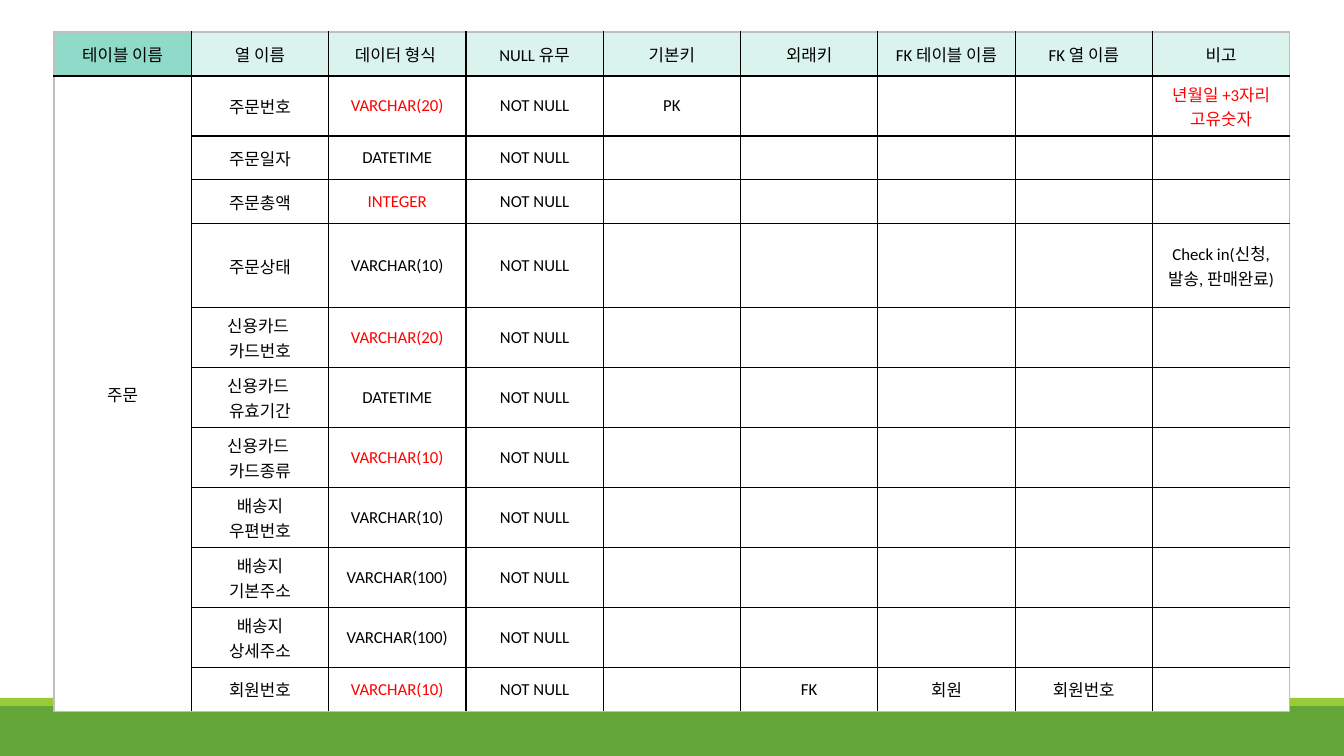
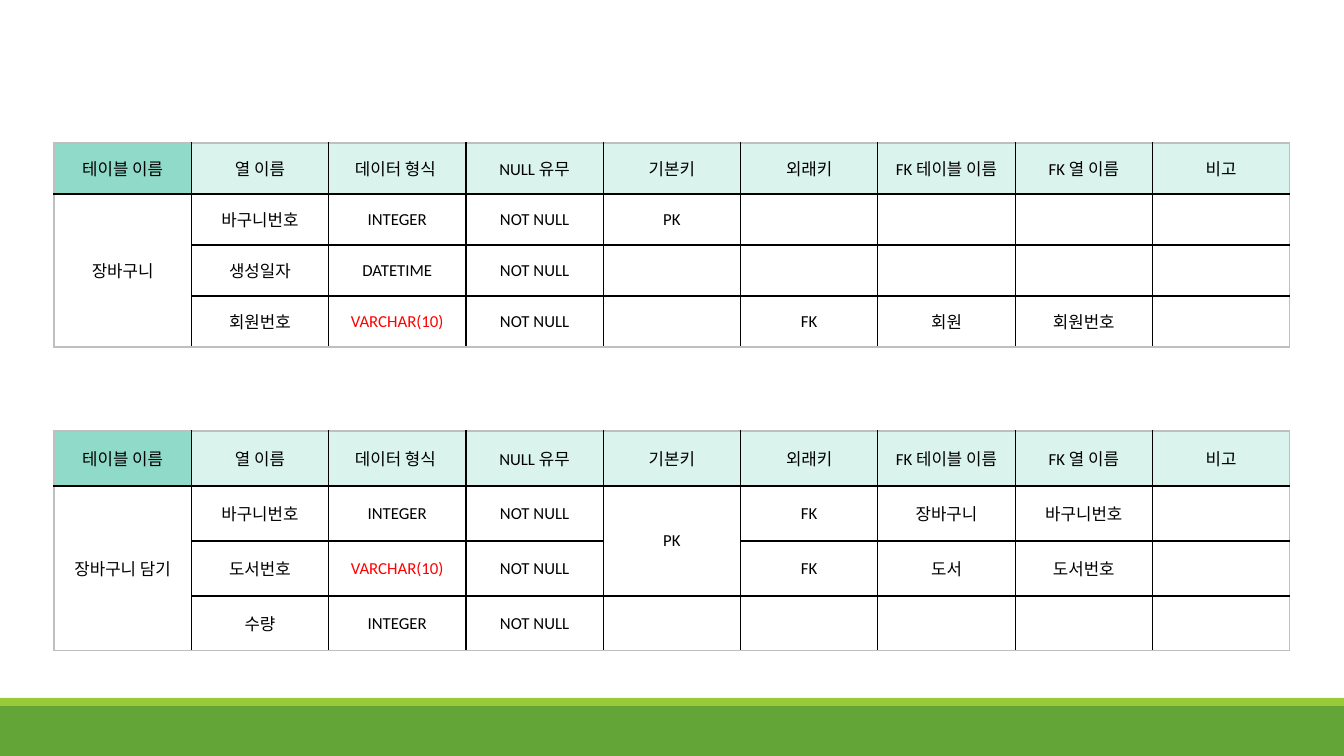
from dataclasses import dataclass

from lxml.etree import SubElement
from pptx import Presentation
from pptx.dml.color import RGBColor as Rgb
from pptx.enum.shapes import MSO_SHAPE as Shape
from pptx.enum.text import MSO_ANCHOR as Anchor, PP_ALIGN as Align
from pptx.oxml.ns import qn
from pptx.util import Pt

EMU_PER_PX = 914400 / 100.8
SLIDE_W, SLIDE_H = 1344, 756
TABLE_LEFT, TABLE_W = 54, 1236
ROW_BY_LINES = {1: 44, 2: 60, 3: 84}


@dataclass(frozen=True)
class Theme:
    green: str = "63A537"
    lime: str = "99CB38"
    corner: str = "8FDAC8"
    header: str = "DAF3ED"
    body: str = "FFFFFF"
    text: str = "000000"
    revised: str = "FF0000"
    grid: str = "000000"
    frame: str = "BFBFBF"
    font: str = "Calibri"
    size: int = 12
    line: int = 1


class Revised(str):
    """Text shown in the revision colour."""


@dataclass(frozen=True)
class Column:
    """One described database column, a row of the slide's table."""
    name: str
    data_type: str
    primary: str = ""
    foreign: str = ""
    fk_table: str = ""
    fk_column: str = ""
    note: str = ""
    lines: int = 1

    def cells(self):
        return ["", self.name, self.data_type, "NOT NULL", self.primary,
                self.foreign, self.fk_table, self.fk_column, self.note]


HEADINGS = ["테이블 이름", "열 이름", "데이터 형식 ", "NULL 유무", "기본키",
            "외래키", "FK 테이블 이름", "FK 열 이름", "비고"]
PRIMARY_COL = HEADINGS.index("기본키")


def px(length):
    return round(length * EMU_PER_PX)


class Deck:
    def __init__(self, theme):
        self.theme = theme
        self.prs = Presentation()
        self.prs.slide_width, self.prs.slide_height = px(SLIDE_W), px(SLIDE_H)
        self.slide = None

    def new_slide(self):
        self.slide = self.prs.slides.add_slide(self.prs.slide_layouts[6])
        self.band(706, 50, self.theme.green)
        self.band(698, 8, self.theme.lime)

    def band(self, top, height, color):
        band = self.slide.shapes.add_shape(
            Shape.RECTANGLE, 0, px(top), px(SLIDE_W), px(height))
        band.shadow.inherit = False
        band.fill.solid()
        band.fill.fore_color.rgb = Rgb.from_string(color)
        band.line.fill.background()

    def edge(self, cell, side, color):
        line = SubElement(cell._tc.get_or_add_tcPr(), qn(f"a:ln{side}"),
                          w=str(Pt(self.theme.line)))
        fill = SubElement(line, qn("a:solidFill"))
        SubElement(fill, qn("a:srgbClr"), val=color)

    def cell_text(self, cell, text):
        cell.vertical_anchor = Anchor.MIDDLE
        color = self.theme.revised if isinstance(text, Revised) else self.theme.text
        frame = cell.text_frame
        for number, line in enumerate(text.split("\n")):
            paragraph = frame.add_paragraph() if number else frame.paragraphs[0]
            paragraph.alignment = Align.CENTER
            run = paragraph.add_run()
            run.text = line
            run.font.name, run.font.size = self.theme.font, Pt(self.theme.size)
            run.font.color.rgb = Rgb.from_string(color)

    def cell_style(self, cell, row, col, last_row, last_col):
        theme = self.theme
        bottom = row + cell.span_height - 1
        outer = {"L": col == 0, "R": col == last_col,
                 "T": row == 0, "B": bottom == last_row}
        for side, is_outer in outer.items():
            self.edge(cell, side, theme.frame if is_outer else theme.grid)
        color = theme.body if row else theme.header if col else theme.corner
        cell.fill.solid()
        cell.fill.fore_color.rgb = Rgb.from_string(color)

    def definition(self, name, top, columns, row_heights, key_rows=1):
        """Table definition; the primary key cell spans key_rows rows."""
        rows = [HEADINGS] + [column.cells() for column in columns]
        rows[1][0] = name
        last_row, last_col = len(rows) - 1, len(HEADINGS) - 1
        table = self.slide.shapes.add_table(
            len(rows), len(HEADINGS), px(TABLE_LEFT), px(top),
            px(TABLE_W), px(sum(row_heights))).table
        table.first_row = table.horz_banding = False
        for table_col in table.columns:
            table_col.width = px(TABLE_W / len(HEADINGS))
        for table_row, height in zip(table.rows, row_heights):
            table_row.height = px(height)

        # Merged cells
        table.cell(1, 0).merge(table.cell(last_row, 0))
        if key_rows > 1:
            table.cell(1, PRIMARY_COL).merge(table.cell(key_rows, PRIMARY_COL))

        # Text, borders and fills
        for r, texts in enumerate(rows):
            for c, text in enumerate(texts):
                cell = table.cell(r, c)
                self.cell_text(cell, text)
                self.cell_style(cell, r, c, last_row, last_col)


ORDER = [
    Column("주문번호", Revised("VARCHAR(20)"), "PK",
           note=Revised("년월일 +3자리 고유숫자"), lines=2),
    Column("주문일자", "DATETIME"),
    Column("주문총액", Revised("INTEGER")),
    Column("주문상태", "VARCHAR(10)", note="Check in(신청, 발송, 판매완료)", lines=3),
    Column("신용카드 \n카드번호", Revised("VARCHAR(20)"), lines=2),
    Column("신용카드 \n유효기간", "DATETIME", lines=2),
    Column("신용카드 \n카드종류", Revised("VARCHAR(10)"), lines=2),
    Column("배송지\n우편번호", "VARCHAR(10)", lines=2),
    Column("배송지\n기본주소", "VARCHAR(100)", lines=2),
    Column("배송지\n상세주소", "VARCHAR(100)", lines=2),
    Column("회원번호", Revised("VARCHAR(10)"), "", "FK", "회원", "회원번호"),
]
CART = [
    Column("바구니번호", "INTEGER", "PK"),
    Column("생성일자", "DATETIME"),
    Column("회원번호", Revised("VARCHAR(10)"), "", "FK", "회원", "회원번호"),
]
CART_ITEM = [
    Column("바구니번호", "INTEGER", "PK", "FK", "장바구니", "바구니번호"),
    Column("도서번호", Revised("VARCHAR(10)"), "", "FK", "도서", "도서번호"),
    Column("수량", "INTEGER"),
]


def main():
    deck = Deck(Theme())

    # Order table
    deck.new_slide()
    order_heights = [ROW_BY_LINES[1]] + [ROW_BY_LINES[c.lines] for c in ORDER]
    deck.definition("주문", 32, ORDER, order_heights)

    # Cart and cart item tables
    deck.new_slide()
    deck.definition("장바구니", 143, CART, [51] * 4)
    deck.definition("장바구니 담기", 431, CART_ITEM, [55] * 4, key_rows=2)

    deck.prs.save("out.pptx")


if __name__ == "__main__":
    main()
